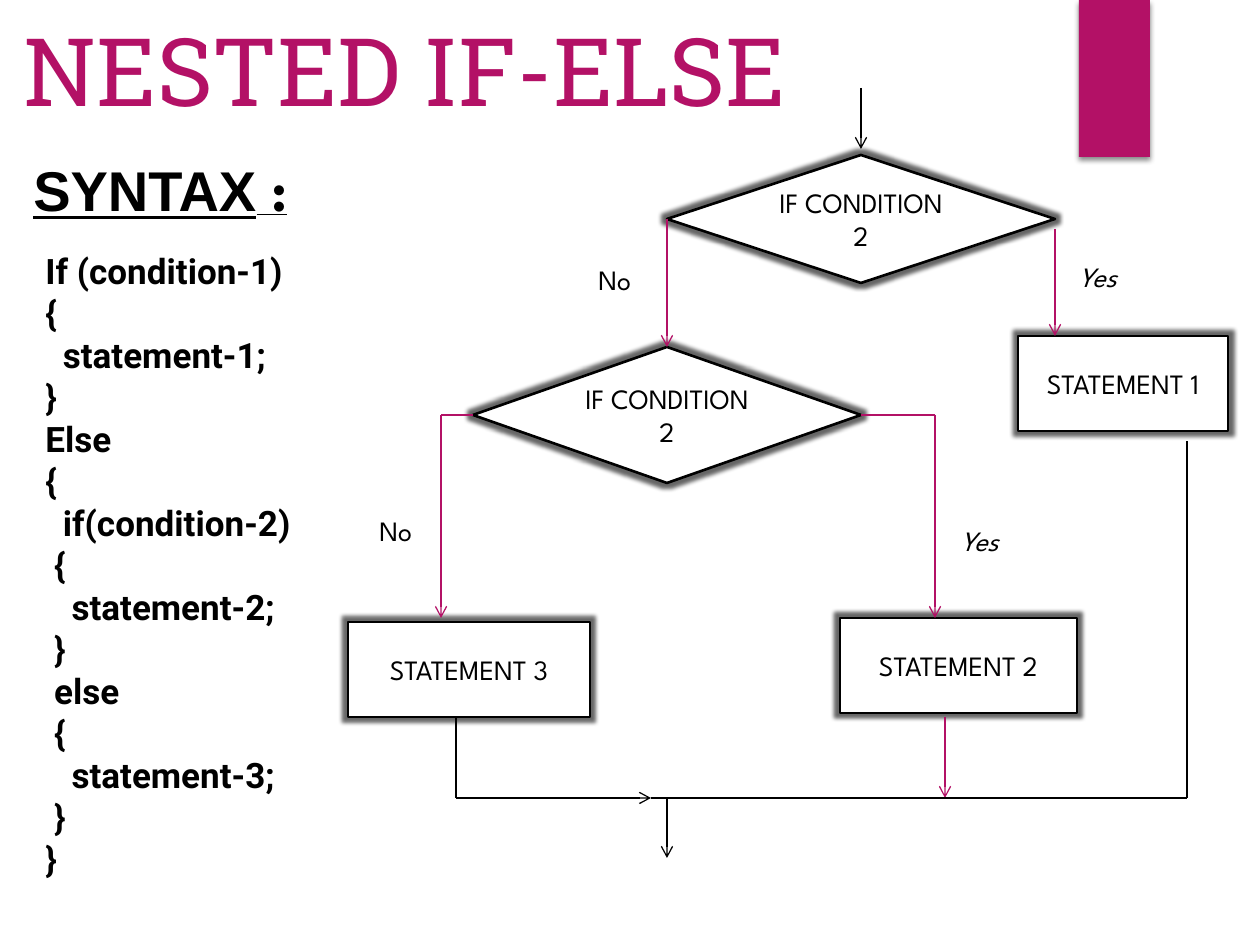
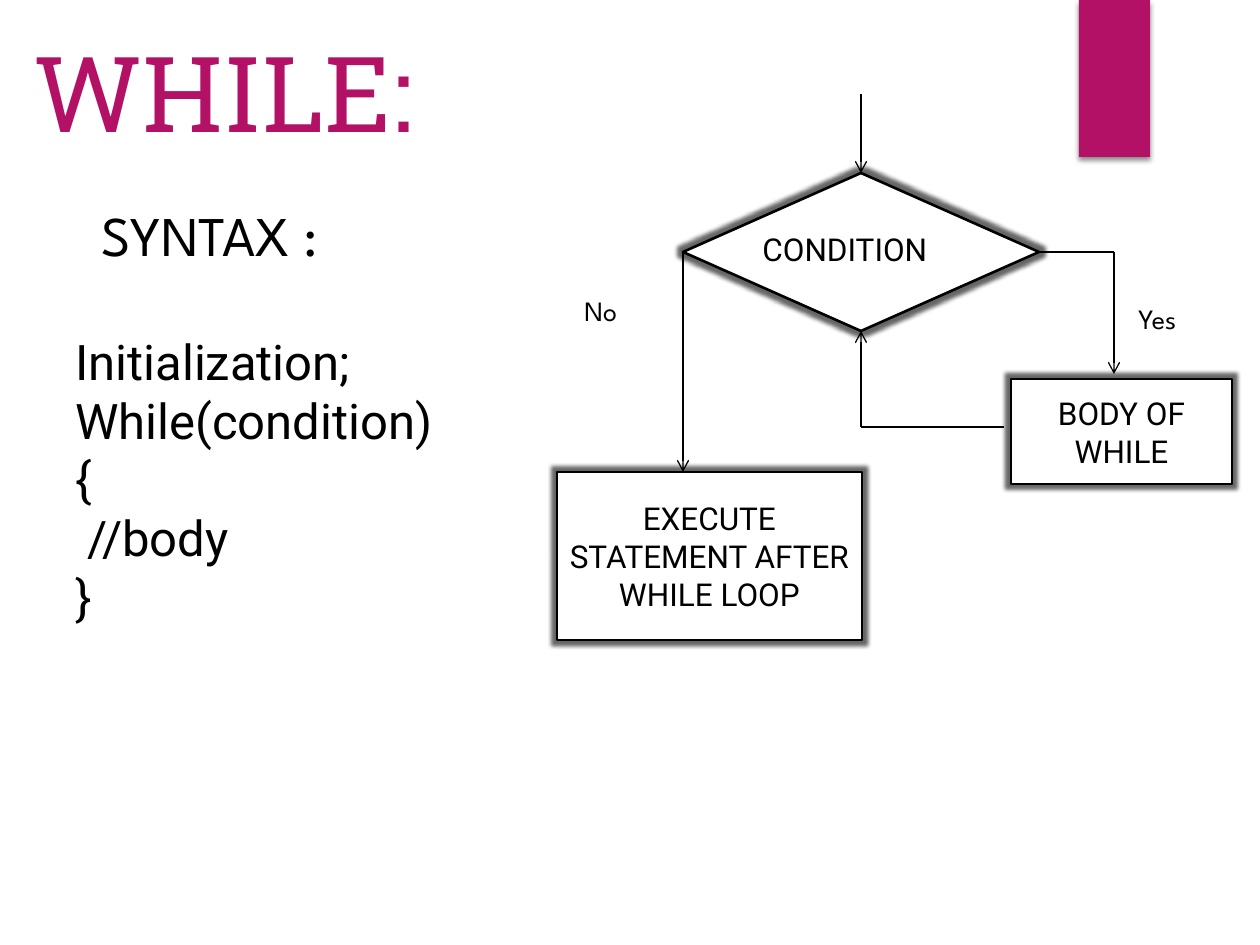
from lxml import etree
from pptx import Presentation
from pptx import util as u
from pptx.dml.color import RGBColor
from pptx.enum import shapes, text
from pptx.oxml.ns import qn

PX = 914400 / 126
COLORS = {"accent": "B31166", "ink": "000000", "paper": "FFFFFF"}
SLAB, SPARTAN, ROBOTO, ARIAL = "Roboto Slab", "League Spartan", "Roboto", "Arial"
DECISION = shapes.MSO_SHAPE.FLOWCHART_DECISION
PROCESS = shapes.MSO_SHAPE.FLOWCHART_PROCESS

NESTED_CODE = """If (condition-1)
{
  statement-1;
}
Else
{
  if(condition-2)
 {
   statement-2;
 }
 else
 {
   statement-3;
 }
}"""
WHILE_CODE = """Initialization;
While(condition)
{
 //body
}"""

# Boxes are left, top, width, height in px.
# texts: box, paragraphs of (text, font) runs, size, colour, styles
# nodes: preset, box, label; routes: colour, has arrowhead, points
SLIDES = [
    {
        "texts": [
            ((11, 6, 1155, 127), [[("NESTED IF-ELSE", SLAB)]], 54, "accent", ()),
            ((21, 149, 304, 81), [[("SYNTAX", ARIAL), (" :", SPARTAN)]], 32, "ink",
             ("bold", "underline")),
            ((33, 243, 284, 649), [[(line, ROBOTO)] for line in NESTED_CODE.split("\n")],
             20, "ink", ("bold",)),
            ((1066, 253, 121, 47), [[("Yes", SPARTAN)]], 16, "ink", ("italic",)),
            ((586, 256, 80, 47), [[("No", SPARTAN)]], 16, "ink", ()),
            ((367, 507, 70, 47), [[("No", SPARTAN)]], 16, "ink", ()),
            ((948, 517, 97, 47), [[("Yes", SPARTAN)]], 16, "ink", ("italic",)),
        ],
        "node_font": (SPARTAN, 16),
        "nodes": [
            (DECISION, (667, 155, 388, 128), "IF CONDITION 2"),
            (DECISION, (473, 347, 388, 136), "IF CONDITION 2"),
            (PROCESS, (1018, 336, 210, 95), "STATEMENT 1"),
            (PROCESS, (348, 622, 242, 95), "STATEMENT 3"),
            (PROCESS, (840, 618, 237, 95), "STATEMENT 2"),
        ],
        "routes": [
            ("ink", True, [(861, 88), (861, 149)]),
            ("accent", True, [(667, 219), (667, 347)]),
            ("accent", True, [(1055, 229), (1055, 336)]),
            ("accent", True, [(473, 415), (441, 415), (441, 618)]),
            ("accent", True, [(861, 415), (935, 415), (935, 618)]),
            ("ink", True, [(456, 717), (456, 798), (651, 798)]),
            ("accent", True, [(945, 717), (945, 798)]),
            ("ink", False, [(1187, 441), (1187, 798), (651, 798)]),
            ("ink", True, [(667, 798), (667, 858)]),
        ],
    },
    {
        "texts": [
            ((21, 21, 693, 140), [[("WHILE:", SLAB)]], 60, "accent", ()),
            ((89, 194, 262, 81), [[("SYNTAX :", SPARTAN)]], 32, "ink", ()),
            ((63, 325, 404, 310), [[(line, ROBOTO)] for line in WHILE_CODE.split("\n")],
             28, "ink", ()),
            ((1126, 295, 100, 47), [[("Yes", SPARTAN)]], 16, "ink", ()),
            ((572, 287, 90, 47), [[("No", SPARTAN)]], 16, "ink", ()),
            ((750, 224, 248, 89), [[("CONDITION", ROBOTO)]], 18, "ink", ()),
        ],
        "node_font": (ROBOTO, 18),
        "nodes": [
            (DECISION, (683, 173, 356, 158), ""),
            (PROCESS, (557, 472, 305, 168), "EXECUTE STATEMENT AFTER WHILE LOOP"),
            (PROCESS, (1011, 379, 221, 105), "BODY OF WHILE"),
        ],
        "routes": [
            ("ink", True, [(861, 94), (861, 173)]),
            ("ink", True, [(1039, 252), (1114, 252), (1114, 374)]),
            ("ink", True, [(1004, 427), (861, 427), (861, 331)]),
            ("ink", True, [(683, 252), (683, 472)]),
        ],
    },
]


def emu(values):
    return [round(v * PX) for v in values]


def add_effect(sp, name, color, alpha, **attrs):
    """Give a shape a single glow or shadow of the given opacity in percent."""
    sp.shadow.inherit = False
    effects = sp._element.spPr.find(qn("a:effectLst"))
    effect = etree.SubElement(effects, qn("a:" + name), {k: str(v) for k, v in attrs.items()})
    clr = etree.SubElement(effect, qn("a:srgbClr"), val=COLORS[color])
    etree.SubElement(clr, qn("a:alpha"), val=str(alpha * 1000))


rgb = {name: RGBColor.from_string(value) for name, value in COLORS.items()}
prs = Presentation()
prs.slide_width, prs.slide_height = emu((1260, 945))

for content in SLIDES:
    s = prs.slides.add_slide(prs.slide_layouts[6])
    s.background.fill.solid()
    s.background.fill.fore_color.rgb = rgb["paper"]

    band = s.shapes.add_shape(shapes.MSO_SHAPE.RECTANGLE, *emu((1079, 0, 71, 157)))
    band.fill.solid()
    band.fill.fore_color.rgb = rgb["accent"]
    band.line.fill.background()
    add_effect(band, "outerShdw", "ink", 45, blurRad=u.Pt(3), dist=u.Pt(2), dir=5400000)

    sites = {}
    font, size = content["node_font"]
    for preset, box, label in content["nodes"]:
        sp = s.shapes.add_shape(preset, *emu(box))
        sp.fill.solid()
        sp.fill.fore_color.rgb = rgb["paper"]
        sp.line.color.rgb = rgb["ink"]
        sp.line.width = u.Pt(1.5)
        add_effect(sp, "glow", "ink", 60, rad=u.Pt(5))
        x, y, w, h = box
        middles = [(x + w / 2, y), (x, y + h / 2), (x + w / 2, y + h), (x + w, y + h / 2)]
        sites.update({point: (sp, i) for i, point in enumerate(middles)})
        if label:
            tf = sp.text_frame
            tf.word_wrap = True
            tf.margin_left, tf.margin_right = emu((10, 10))
            tf.vertical_anchor = text.MSO_ANCHOR.MIDDLE
            p = tf.paragraphs[0]
            p.alignment = text.PP_ALIGN.CENTER
            r = p.add_run()
            r.text = label
            r.font.name, r.font.size = font, u.Pt(size)
            r.font.color.rgb = rgb["ink"]

    for color, has_arrow, points in content["routes"]:
        for start, end in zip(points, points[1:]):
            cxn = s.shapes.add_connector(shapes.MSO_CONNECTOR.STRAIGHT, *emu(start + end))
            if start in sites:
                cxn.begin_connect(*sites[start])
            if end in sites:
                cxn.end_connect(*sites[end])
            cxn.line.color.rgb = rgb[color]
            cxn.line.width = u.Pt(0.75)
            spPr = cxn._element.spPr
            if has_arrow and end == points[-1]:
                etree.SubElement(spPr.find(qn("a:ln")), qn("a:tailEnd"), type="arrow")
            etree.SubElement(spPr, qn("a:effectLst"))

    for box, paragraphs, size, color, styles in content["texts"]:
        tf = s.shapes.add_textbox(*emu(box)).text_frame
        tf.word_wrap = True
        tf.auto_size = text.MSO_AUTO_SIZE.SHAPE_TO_FIT_TEXT
        for i, runs in enumerate(paragraphs):
            p = tf.add_paragraph() if i else tf.paragraphs[0]
            for words, font in runs:
                r = p.add_run()
                r.text = words
                r.font.name, r.font.size = font, u.Pt(size)
                r.font.color.rgb = rgb[color]
                for style in styles:
                    setattr(r.font, style, True)

prs.save("out.pptx")
